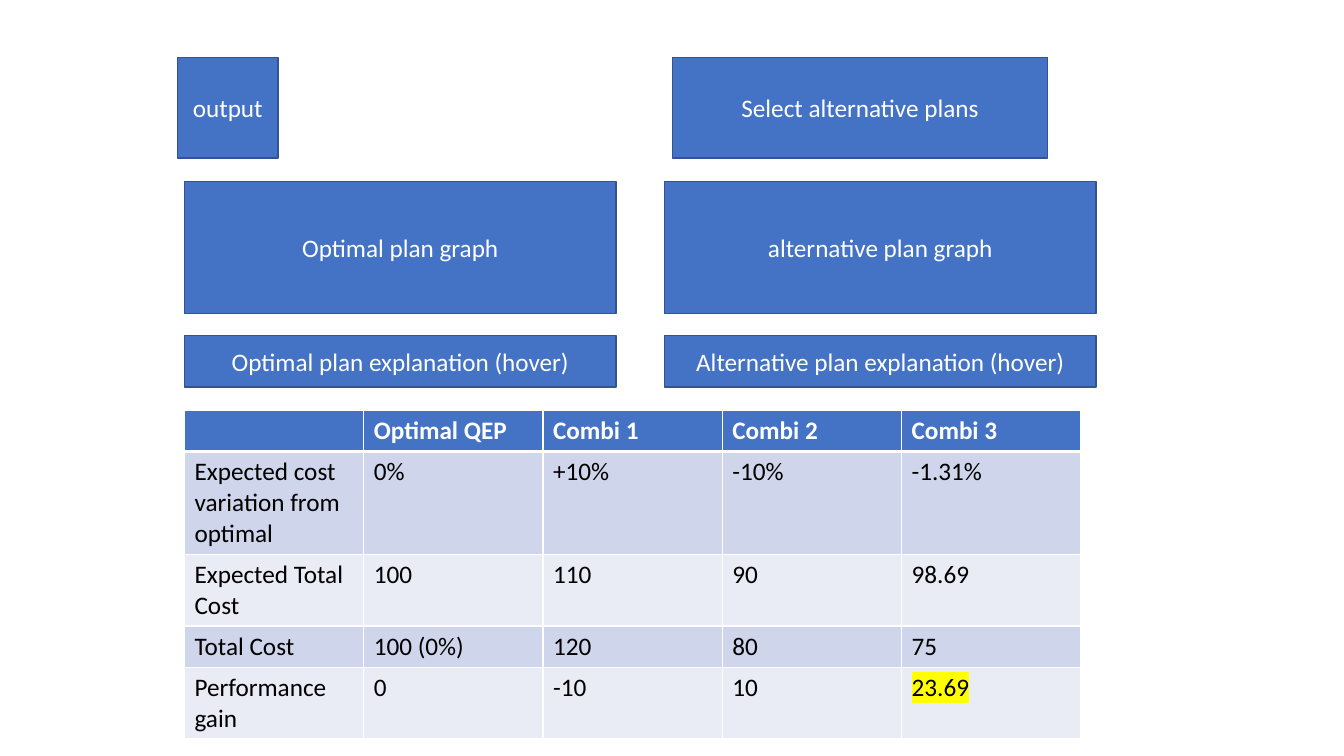
"""Builds a slide comparing an optimal query plan with its alternatives."""
from lxml import etree
from pptx import Presentation
from pptx.dml.color import RGBColor
from pptx.enum.shapes import MSO_SHAPE
from pptx.enum.text import MSO_ANCHOR, PP_ALIGN
from pptx.oxml.ns import qn
from pptx.util import Inches, Pt

RECTANGLE = MSO_SHAPE.RECTANGLE
MIDDLE = MSO_ANCHOR.MIDDLE
CENTER = PP_ALIGN.CENTER

BLUE = RGBColor(0x44, 0x72, 0xC4)
OUTLINE = RGBColor(0x32, 0x54, 0x91)
WHITE = RGBColor(0xFF, 0xFF, 0xFF)
BLACK = RGBColor(0, 0, 0)
YELLOW = RGBColor(0xFF, 0xFF, 0)
BANDS = (RGBColor(0xE9, 0xEB, 0xF5), RGBColor(0xCF, 0xD5, 0xEA))
FONT = "Calibri"

LEFT, RIGHT, PANEL_WIDTH = 1.83, 6.59, 4.28
BUTTONS = [("output", 1.76, 1), ("Select alternative plans", 6.67, 3.72)]
PANEL_ROWS = [
    (1.8, 1.31, "Optimal plan graph", "alternative plan graph"),
    (3.33, 0.51, "Optimal plan explanation (hover)", "Alternative plan explanation (hover)"),
]
COSTS = [
    ("", "Optimal QEP", "Combi 1", "Combi 2", "Combi 3"),
    ("Expected cost variation from optimal", "0%", "+10%", "-10%", "-1.31%"),
    ("Expected Total Cost", "100", "110", "90", "98.69"),
    ("Total Cost", "100 (0%)", "120", "80", "75"),
    ("Performance gain", "0", "-10", "10", "23.69"),
]
BEST_GAIN = (4, 4)
TABLE_TOP, TABLE_WIDTH = 4.07, 8.89
ROW_HEIGHTS = (0.41, 1.02, 0.71, 0.41, 0.71)


def format_text(paragraph, color, bold=False):
    for run in paragraph.runs:
        run.font.size = Pt(18)
        run.font.bold = bold
        run.font.color.rgb = color
        run.font.name = FONT


def add_box(slide, text, left, top, width, height):
    shape = slide.shapes.add_shape(RECTANGLE, *map(Inches, (left, top, width, height)))
    shape.shadow.inherit = False
    shape.fill.solid()
    shape.fill.fore_color.rgb = BLUE
    shape.line.color.rgb = OUTLINE
    shape.line.width = Pt(1)
    frame = shape.text_frame
    frame.text = text
    frame.word_wrap = True
    frame.vertical_anchor = MIDDLE
    frame.paragraphs[0].alignment = CENTER
    format_text(frame.paragraphs[0], WHITE)


def add_solid_fill(parent, color):
    fill = etree.SubElement(parent, qn("a:solidFill"))
    etree.SubElement(fill, qn("a:srgbClr"), val=str(color))


def set_borders(cell, top, bottom):
    properties = cell._tc.get_or_add_tcPr()
    widths = {"a:lnL": 1, "a:lnR": 1, "a:lnT": top, "a:lnB": bottom}
    for position, (side, width) in enumerate(widths.items()):
        line = etree.Element(qn(side), w=str(Pt(width)))
        add_solid_fill(line, WHITE)
        properties.insert(position, line)


def highlight(run, color):
    mark = etree.Element(qn("a:highlight"))
    etree.SubElement(mark, qn("a:srgbClr"), val=str(color))
    run.font._element.find(qn("a:solidFill")).addnext(mark)


def add_cost_table(slide):
    columns = len(COSTS[0])
    area = map(Inches, (LEFT, TABLE_TOP, TABLE_WIDTH, sum(ROW_HEIGHTS)))
    table = slide.shapes.add_table(len(COSTS), columns, *area).table
    for column in table.columns:
        column.width = Inches(TABLE_WIDTH / columns)
    for row, values in enumerate(COSTS):
        table.rows[row].height = Inches(ROW_HEIGHTS[row])
        header = row == 0
        for column, value in enumerate(values):
            cell = table.cell(row, column)
            cell.text = value
            cell.fill.solid()
            cell.fill.fore_color.rgb = BLUE if header else BANDS[row % 2]
            set_borders(cell, 3 if row == 1 else 1, 3 if header else 1)
            format_text(cell.text_frame.paragraphs[0], WHITE if header else BLACK, header)
    highlight(table.cell(*BEST_GAIN).text_frame.paragraphs[0].runs[0], YELLOW)


presentation = Presentation()
presentation.slide_width, presentation.slide_height = Inches(13.33), Inches(7.5)
slide = presentation.slides.add_slide(presentation.slide_layouts[6])
for text, left, width in BUTTONS:
    add_box(slide, text, left, 0.57, width, 1)
for top, height, *texts in PANEL_ROWS:
    for text, left in zip(texts, (LEFT, RIGHT)):
        add_box(slide, text, left, top, PANEL_WIDTH, height)
add_cost_table(slide)
presentation.save("out.pptx")
